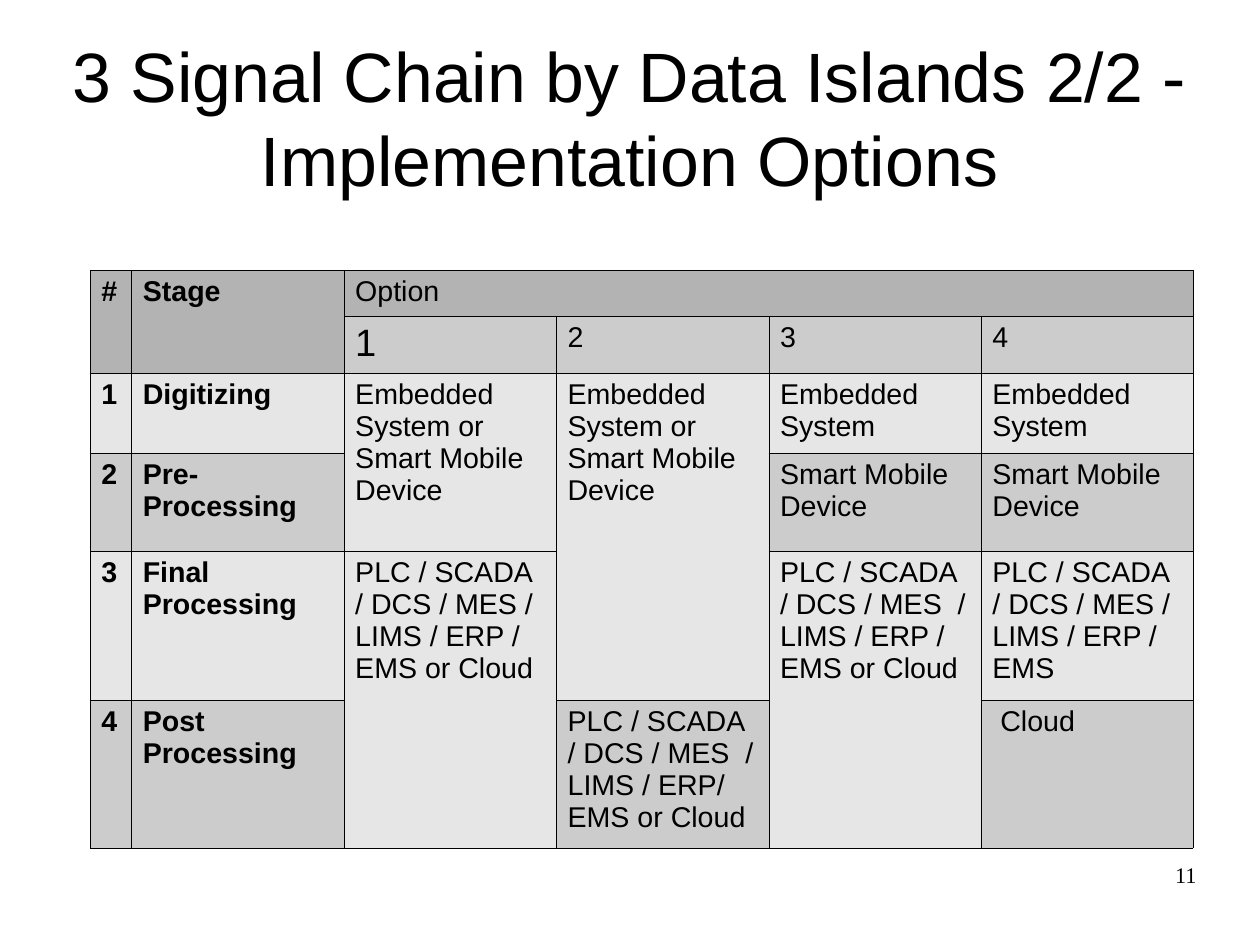
import pptx
import pptx.util
import pptx.dml.color
import pptx.enum.text
import pptx.oxml
from dataclasses import dataclass
from pptx.util import Cm

align = pptx.enum.text.PP_ALIGN
anchor = pptx.enum.text.MSO_ANCHOR


@dataclass(frozen=True)
class Theme:
    ink: str = "000000"
    head: str = "B3B3B3"
    dark: str = "CCCCCC"
    light: str = "E6E6E6"
    sans: str = "Arial"
    serif: str = "Times New Roman"
    title: int = 44
    large: int = 24
    body: int = 18
    small: int = 14
    line: float = 0.06


theme = Theme()


def write(frame, text, size=theme.body, font=theme.sans, bold=False, side=align.LEFT):
    frame.word_wrap = True
    frame.text = text
    for para in frame.paragraphs:
        para.alignment = side
        for run in para.runs:
            run.font.size = pptx.util.Pt(size)
            run.font.name = font
            run.font.bold = bold
            run.font.color.rgb = pptx.dml.color.RGBColor.from_string(theme.ink)


def border(cell):
    props = cell._tc.get_or_add_tcPr()
    for edge in ("lnL", "lnR", "lnT", "lnB"):
        props.append(pptx.oxml.parse_xml(
            f'<a:{edge} xmlns:a="http://schemas.openxmlformats.org/drawingml/2006/main" '
            f'w="{pptx.util.Pt(theme.line)}"><a:solidFill><a:srgbClr val="{theme.ink}"/>'
            f'</a:solidFill></a:{edge}>'))


deck = pptx.Presentation()
deck.slide_width, deck.slide_height = Cm(28), Cm(21)
slide = deck.slides.add_slide(deck.slide_layouts[5])

# Title
title = slide.shapes.title
title.left, title.top, title.width, title.height = Cm(1.4), Cm(0.84), Cm(25.2), Cm(3.5)
frame = title.text_frame
frame.auto_size = pptx.enum.text.MSO_AUTO_SIZE.NONE
frame.vertical_anchor = anchor.MIDDLE
frame.margin_left = frame.margin_right = frame.margin_top = frame.margin_bottom = 0
write(frame, "3 Signal Chain by Data Islands 2/2 - Implementation Options",
      size=theme.title, side=align.CENTER)

# Table content: None marks a cell covered by a span
either = "Embedded System or Smart Mobile Device"
board = "Embedded System"
phone = "Smart Mobile Device"
plant = "PLC / SCADA\n/ DCS / MES / LIMS / ERP / EMS"
wide = "PLC / SCADA\n/ DCS / MES  / LIMS / ERP / EMS or Cloud"
tight = "PLC / SCADA\n/ DCS / MES  / LIMS / ERP/  EMS or Cloud"
rows = [
    ["#", "Stage", "Option", None, None, None],
    [None, None, "1", "2", "3", "4"],
    ["1", "Digitizing", either, either, board, board],
    ["2", "Pre-Processing", None, None, phone, phone],
    ["3", "Final Processing", plant + " or Cloud", None, wide, plant],
    ["4", "Post Processing", None, tight, None, " Cloud"],
]
fills = [theme.head, theme.dark] + [theme.light, theme.dark] * 2
spans = [(0, 0, 1, 0), (0, 1, 1, 1), (0, 2, 0, 5), (2, 2, 3, 2),
         (2, 3, 4, 3), (4, 2, 5, 2), (4, 4, 5, 4)]
widths = [0.92] + [4.72] * 5
heights = [1.02, 1.27, 1.78, 2.18, 3.31, 3.29]

# Table frame
grid = slide.shapes.add_table(len(rows), len(widths), Cm(2), Cm(6),
                              Cm(sum(widths)), Cm(sum(heights))).table
grid.first_row = grid.horz_banding = False
for col, width in zip(grid.columns, widths):
    col.width = Cm(width)
for row, height in zip(grid.rows, heights):
    row.height = Cm(height)
for top, left, low, right in spans:
    grid.cell(top, left).merge(grid.cell(low, right))

# Table cells
for r, texts in enumerate(rows):
    for c, text in enumerate(texts):
        cell = grid.cell(r, c)
        border(cell)
        cell.fill.solid()
        cell.fill.fore_color.rgb = pptx.dml.color.RGBColor.from_string(fills[r])
        if text:
            size = theme.large if (r, c) == (1, 2) else theme.body
            write(cell.text_frame, text, size=size, bold=c < 2)

# Page number
page = slide.shapes.add_textbox(Cm(20.07), Cm(19.13), Cm(6.52), Cm(1.45)).text_frame
page.margin_left = page.margin_right = page.margin_top = page.margin_bottom = 0
write(page, "11", size=theme.small, font=theme.serif, side=align.RIGHT)

deck.save("out.pptx")
